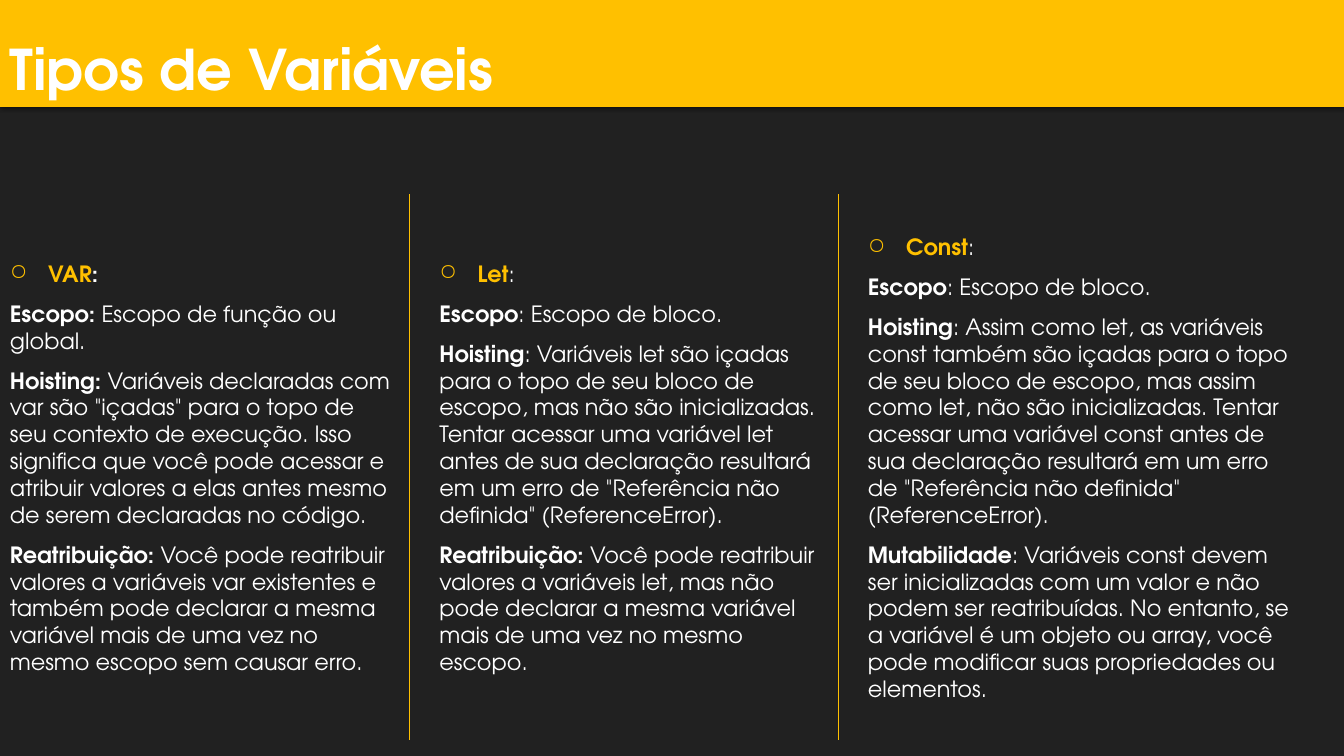
from dataclasses import dataclass

from lxml.etree import SubElement
from pptx import Presentation
from pptx.dml.color import RGBColor
from pptx.enum.shapes import MSO_CONNECTOR as Connector, MSO_SHAPE as Shape
from pptx.enum.text import MSO_ANCHOR as Anchor, PP_ALIGN as Align
from pptx.oxml.ns import qn
from pptx.util import Inches, Pt

COLORS = {"background": "212121", "accent": "FFC000", "text": "FFFFFF", "shadow": "000000"}
FONT = "TeX Gyre Adventor"
BODY_TOP, BODY_HEIGHT = 1.92, 5.44
DIVIDERS = (4.06, 8.32)


@dataclass(frozen=True)
class Entry:
    label: str
    detail: str


@dataclass(frozen=True)
class Column:
    left: float
    width: float
    keyword: str
    bold_colon: bool
    entries: tuple[Entry, ...]


COLUMNS = (
    Column(0, 4.03, "VAR", True, (
        Entry("Escopo: ", "Escopo de função ou global."),
        Entry("Hoisting: ", 'Variáveis declaradas com var são "içadas" para o topo de seu '
              "contexto de execução. Isso significa que você pode acessar e atribuir "
              "valores a elas antes mesmo de serem declaradas no código."),
        Entry("Reatribuição: ", "Você pode reatribuir valores a variáveis var existentes e "
              "também pode declarar a mesma variável mais de uma vez no mesmo escopo sem "
              "causar erro."),
    )),
    Column(4.26, 4.03, "Let", False, (
        Entry("Escopo", ": Escopo de bloco."),
        Entry("Hoisting", ": Variáveis let são içadas para o topo de seu bloco de escopo, "
              "mas não são inicializadas. Tentar acessar uma variável let antes de sua "
              'declaração resultará em um erro de "Referência não definida" '
              "(ReferenceError)."),
        Entry("Reatribuição: ", "Você pode reatribuir valores a variáveis let, mas não pode "
              "declarar a mesma variável mais de uma vez no mesmo escopo."),
    )),
    Column(8.51, 4.47, "Const", False, (
        Entry("Escopo", ": Escopo de bloco."),
        Entry("Hoisting", ": Assim como let, as variáveis const também são içadas para o "
              "topo de seu bloco de escopo, mas assim como let, não são inicializadas. "
              "Tentar acessar uma variável const antes de sua declaração resultará em um "
              'erro de "Referência não definida" (ReferenceError).'),
        Entry("Mutabilidade", ": Variáveis const devem ser inicializadas com um valor e não "
              "podem ser reatribuídas. No entanto, se a variável é um objeto ou array, você "
              "pode modificar suas propriedades ou elementos."),
    )),
)


def color(name: str) -> RGBColor:
    return RGBColor.from_string(COLORS[name])


def add_span(para, text: str, bold: bool, tint: str = "text", size: float = 16) -> None:
    span = para.add_run()
    span.text = text
    span.font.name = FONT
    span.font.size = Pt(size)
    span.font.bold = bold
    span.font.color.rgb = color(tint)


def add_bullet(para) -> None:
    props = para._p.get_or_add_pPr()
    props.set("marL", str(Inches(0.38)))
    props.set("indent", str(-Inches(0.38)))
    bullet_color = SubElement(props, qn("a:buClr"))
    SubElement(bullet_color, qn("a:srgbClr"), val=COLORS["accent"])
    SubElement(props, qn("a:buChar"), char="○")


def add_title(page, text: str) -> None:
    band = page.shapes.add_shape(Shape.RECTANGLE, 0, 0, Inches(13.33), Inches(1.06))
    band.fill.solid()
    band.fill.fore_color.rgb = color("accent")
    band.line.color.rgb = color("accent")
    band.line.width = Pt(0.75)
    # Soft shadow around the band
    band.shadow.inherit = False
    effects = band._element.spPr.find(qn("a:effectLst"))
    shadow = SubElement(effects, qn("a:outerShdw"), blurRad=str(Pt(4)), dist="0",
                        dir=str(240 * 60000), rotWithShape="0")
    shade = SubElement(shadow, qn("a:srgbClr"), val=COLORS["shadow"])
    SubElement(shade, qn("a:alpha"), val="60000")
    frame = band.text_frame
    frame.word_wrap = True
    frame.vertical_anchor = Anchor.BOTTOM
    para = frame.paragraphs[0]
    para.alignment = Align.LEFT
    add_span(para, text, bold=True, size=40)


def add_column(page, column: Column) -> None:
    box = page.shapes.add_textbox(Inches(column.left), Inches(BODY_TOP),
                                  Inches(column.width), Inches(BODY_HEIGHT))
    frame = box.text_frame
    frame.word_wrap = True
    frame.vertical_anchor = Anchor.MIDDLE
    heading = frame.paragraphs[0]
    add_span(heading, column.keyword, bold=True, tint="accent")
    add_span(heading, ":", bold=column.bold_colon)
    for entry in column.entries:
        para = frame.add_paragraph()
        add_span(para, entry.label, bold=True)
        add_span(para, entry.detail, bold=False)
    for para in frame.paragraphs:
        para.space_before = Pt(3.2)
        para.space_after = Pt(6)
    add_bullet(heading)


def add_divider(page, x: float) -> None:
    line = page.shapes.add_connector(Connector.STRAIGHT, Inches(x), Inches(7.34),
                                     Inches(x), Inches(BODY_TOP))
    line.line.color.rgb = color("accent")
    line.line.width = Pt(0.75)
    SubElement(line._element.spPr, qn("a:effectLst"))


def main() -> None:
    deck = Presentation()
    deck.slide_width, deck.slide_height = Inches(13.33), Inches(7.5)
    page = deck.slides.add_slide(deck.slide_layouts[6])
    page.background.fill.solid()
    page.background.fill.fore_color.rgb = color("background")

    # Title band
    add_title(page, "Tipos de Variáveis")

    # Text columns and the lines between them
    for column in COLUMNS:
        add_column(page, column)
    for x in DIVIDERS:
        add_divider(page, x)

    deck.save("out.pptx")


if __name__ == "__main__":
    main()
